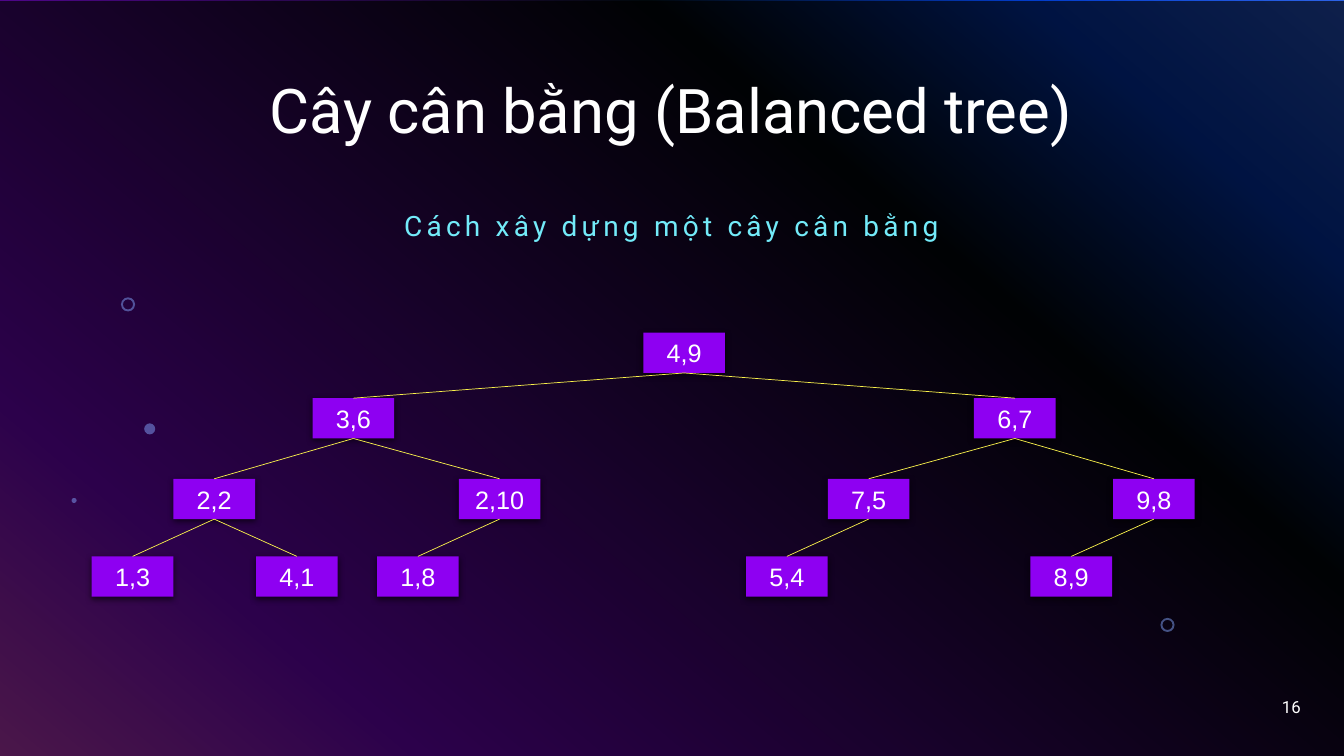
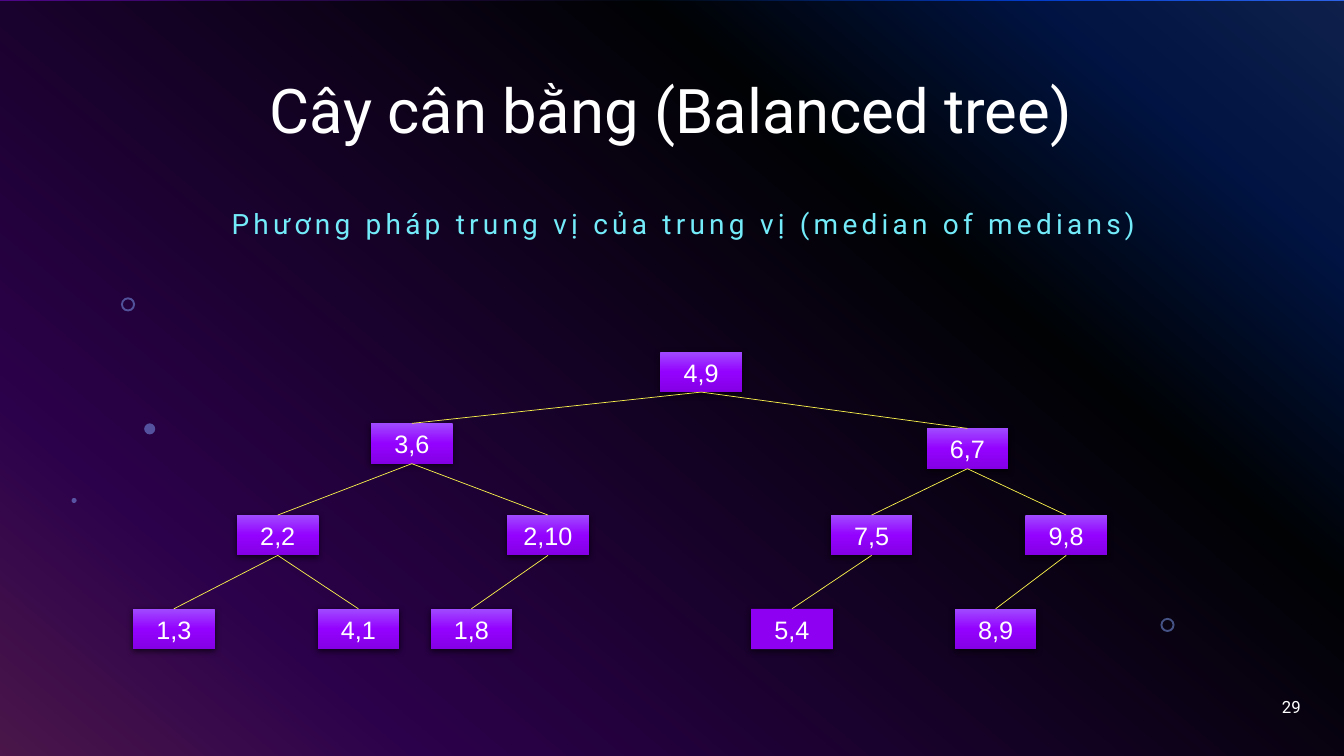
from lxml import etree
from pptx import Presentation
from pptx.dml.color import RGBColor
from pptx.enum.shapes import MSO_CONNECTOR, MSO_SHAPE
from pptx.enum.text import MSO_ANCHOR, MSO_AUTO_SIZE, PP_ALIGN
from pptx.oxml.ns import qn
from pptx.util import Inches, Pt

COLORS = {
    "white": "FFFFFF",
    "black": "000000",
    "subtitle": "73EBF9",
    "node": "8E00F2",
    "edge": "FAF24C",
    "decor": "83A7FD",
}
BACKGROUND = [(0, "316CFC"), (14, "0343DF"), (31, "02090E"), (81, "9405FC"), (100, "FC4EFB")]
NODE_GRADIENT = [(0, "A04BFF"), (50, "9402FF"), (100, "8400E4")]

HEADING_FONT, NODE_FONT = "Roboto", "Arial"
NODE_W, NODE_H = 0.81, 0.4

LEVELS = [
    ["4,9"],
    ["3,6", "6,7"],
    ["2,2", "2,10", "7,5", "9,8"],
    ["1,3", "4,1", "1,8", "5,4", "8,9"],
]
CHILDREN = {
    "4,9": ["3,6", "6,7"],
    "3,6": ["2,2", "2,10"],
    "6,7": ["7,5", "9,8"],
    "2,2": ["1,3", "4,1"],
    "2,10": ["1,8"],
    "7,5": ["5,4"],
    "9,8": ["8,9"],
}


def rgb(name):
    return RGBColor.from_string(COLORS[name])


def add_alpha(element, percent):
    """Make the first colour inside element partly transparent."""
    color = element.find(".//" + qn("a:srgbClr"))
    etree.SubElement(color, qn("a:alpha"), val=str(percent * 1000))


def set_gradient(fill, owner, stops, angle):
    """Fill with (percent, hex) stops; the angle runs clockwise in degrees."""
    fill.gradient()
    grad = owner.find(".//" + qn("a:gradFill"))
    stop_list = grad.find(qn("a:gsLst"))
    for old_stop in list(stop_list):
        stop_list.remove(old_stop)
    for percent, color in stops:
        gs = etree.SubElement(stop_list, qn("a:gs"), pos=str(percent * 1000))
        etree.SubElement(gs, qn("a:srgbClr"), val=color)
    grad.find(qn("a:lin")).set("ang", str(angle * 60000))


def write(tf, text, size, color="white", font=HEADING_FONT, align=PP_ALIGN.CENTER,
          line_spacing=None, spacing=None, auto_size=MSO_AUTO_SIZE.NONE):
    tf.word_wrap = True
    tf.auto_size = auto_size
    tf.vertical_anchor = MSO_ANCHOR.MIDDLE
    p = tf.paragraphs[0]
    p.alignment = align
    p.space_before = Pt(0)
    if line_spacing:
        p.line_spacing = line_spacing
    r = p.add_run()
    r.text = text
    r.font.name = font
    r.font.size = Pt(size)
    r.font.color.rgb = rgb(color)
    if spacing:
        r.font._element.set("spc", str(spacing * 100))


class Deck:
    def __init__(self):
        self.prs = Presentation()
        self.prs.slide_width = Inches(13.33)
        self.prs.slide_height = Inches(7.5)
        self.layout = self.prs.slide_layouts[1]
        self.slide = None
        master = self.prs.slide_master
        set_gradient(master.background.fill, master.element, BACKGROUND, 130)
        for ph in list(self.layout.placeholders)[2:]:
            ph.element.getparent().remove(ph.element)

    def new_slide(self):
        self.slide = self.prs.slides.add_slide(self.layout)

    def shape(self, kind, left, top, width, height, color, opacity=None):
        sp = self.slide.shapes.add_shape(
            kind, Inches(left), Inches(top), Inches(width), Inches(height))
        sp.shadow.inherit = False
        sp.line.fill.background()
        sp.fill.solid()
        sp.fill.fore_color.rgb = rgb(color)
        if opacity:
            add_alpha(sp.element.spPr, opacity)
        return sp

    def decorate_layout(self):
        """Draw the dark veil, rings and dots, and move them to the layout."""
        decor = [self.shape(MSO_SHAPE.RECTANGLE, 0, 0.01, 13.33, 7.49, "black", 70)]
        for left, top in [(11.51, 6.13), (1.2, 2.95)]:
            ring = self.shape(MSO_SHAPE.DONUT, left, top, 0.14, 0.14, "decor", 49)
            ring.adjustments[0] = 0.14
            decor.append(ring)
        for left, top, size in [(1.43, 4.2, 0.11), (0.71, 4.94, 0.05)]:
            decor.append(self.shape(MSO_SHAPE.OVAL, left, top, size, size, "decor", 49))
        for sp in decor:
            self.layout.shapes.element.append(sp.element)

    def place(self, sp, left, top, width, height):
        sp.left, sp.top = Inches(left), Inches(top)
        sp.width, sp.height = Inches(width), Inches(height)

    def title(self, text):
        sp = self.slide.shapes.title
        self.place(sp, 0.91, 0.4, 11.5, 1.45)
        write(sp.text_frame, text, 44, line_spacing=0.9)

    def subtitle(self, text, left, top, width):
        sp = self.slide.placeholders[1]
        self.place(sp, left, top, width, 0.56)
        pPr = sp.text_frame.paragraphs[0]._p.get_or_add_pPr()
        pPr.set("marL", "0")
        pPr.set("indent", "0")
        etree.SubElement(pPr, qn("a:buNone"))
        write(sp.text_frame, text, 20, color="subtitle", line_spacing=0.9, spacing=3)

    def page_number(self, number):
        sp = self.slide.shapes.add_textbox(Inches(10), Inches(6.81), Inches(3), Inches(0.4))
        write(sp.text_frame, str(number), 12, align=PP_ALIGN.RIGHT)

    def node(self, text, left, top, gradient):
        sp = self.shape(MSO_SHAPE.RECTANGLE, left, top, NODE_W, NODE_H, "node")
        spPr = sp.element.spPr
        if gradient:
            set_gradient(sp.fill, spPr, NODE_GRADIENT, 90)
        shadow = etree.SubElement(
            spPr.find(qn("a:effectLst")), qn("a:outerShdw"),
            blurRad=str(Pt(4.5)), dist=str(Pt(1.5)), dir=str(90 * 60000), rotWithShape="0")
        etree.SubElement(shadow, qn("a:srgbClr"), val=COLORS["black"])
        add_alpha(shadow, 63)
        write(sp.text_frame, text, 18, font=NODE_FONT,
              auto_size=MSO_AUTO_SIZE.SHAPE_TO_FIT_TEXT)
        return sp

    def edge(self, parent, child):
        """Join the bottom of the parent to the top of the child."""
        line = self.slide.shapes.add_connector(
            MSO_CONNECTOR.STRAIGHT, parent.left, parent.top, child.left, child.top)
        line.begin_connect(parent, 2)
        line.end_connect(child, 0)
        line.line.color.rgb = rgb("edge")
        line.line.width = Pt(0.5)
        etree.SubElement(line.element.spPr, qn("a:effectLst"))

    def tree(self, tops, lefts, plain=(), drops=None):
        """Draw the levels; plain nodes get no gradient, drops lower single nodes."""
        drops = drops or {}
        nodes = {}
        for labels, top, row in zip(LEVELS, tops, lefts):
            for label, left in zip(labels, row):
                nodes[label] = self.node(
                    label, left, top + drops.get(label, 0), label not in plain)
        for parent, children in CHILDREN.items():
            for child in children:
                self.edge(nodes[parent], nodes[child])


def main():
    slides = [
        dict(
            subtitle=("Cách xây dựng một cây cân bằng", 1.74, 1.98, 9.84),
            number=16,
            tree=dict(
                tops=[3.3, 3.95, 4.75, 5.52],
                lefts=[[6.38], [3.1, 9.66], [1.72, 4.55, 8.21, 11.04],
                       [0.91, 2.54, 3.74, 7.4, 10.22]],
                plain=sum(LEVELS, []),
            ),
        ),
        dict(
            subtitle=("Phương pháp trung vị của trung vị (median of medians)", 1.72, 1.96, 10.12),
            number=29,
            tree=dict(
                tops=[3.49, 4.2, 5.11, 6.04],
                lefts=[[6.55], [3.68, 9.19], [2.35, 5.03, 8.24, 10.17],
                       [1.32, 3.15, 4.27, 7.45, 9.47]],
                plain=["5,4"],
                drops={"6,7": 0.05},
            ),
        ),
    ]
    deck = Deck()
    for i, content in enumerate(slides):
        deck.new_slide()
        if i == 0:
            deck.decorate_layout()
        deck.title("Cây cân bằng (Balanced tree)")
        deck.subtitle(*content["subtitle"])
        deck.page_number(content["number"])
        deck.tree(**content["tree"])
    deck.prs.save("out.pptx")


if __name__ == "__main__":
    main()
